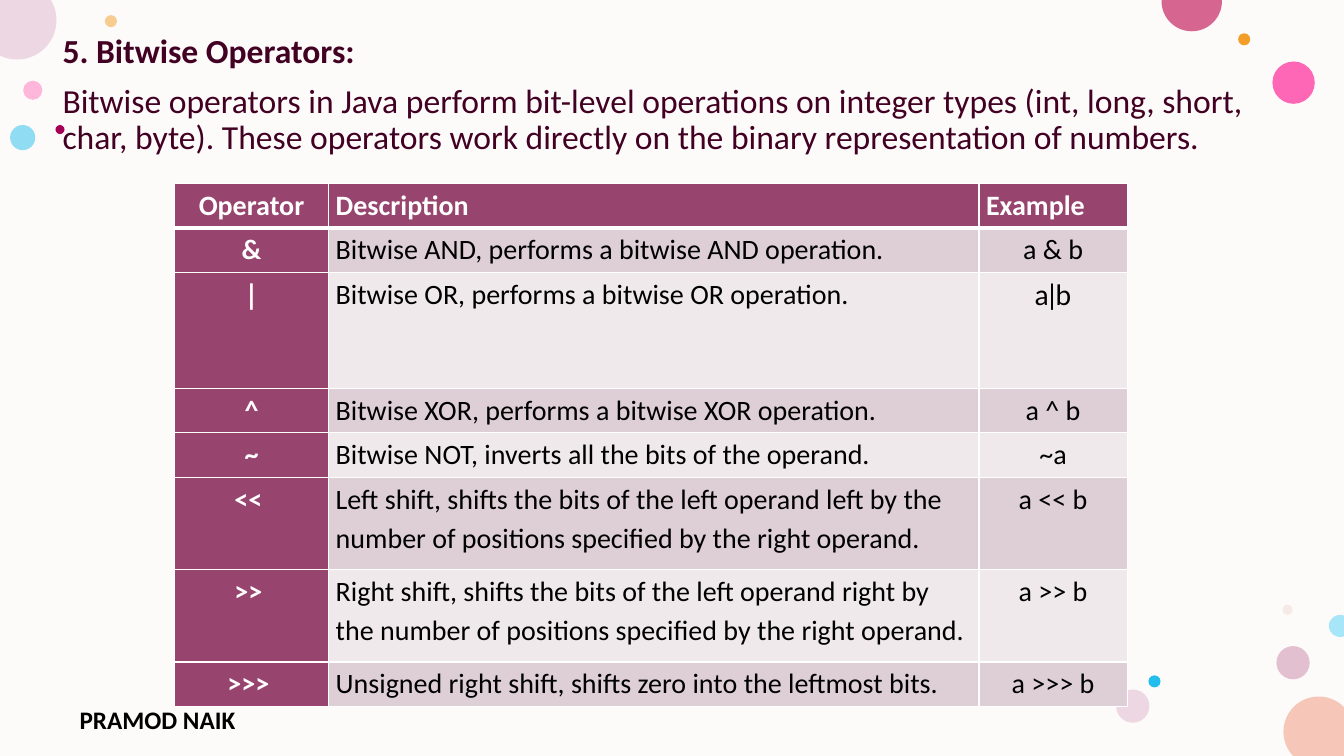
from dataclasses import dataclass
from math import cos, radians, sin, tan

from pptx import Presentation, util as u
from pptx.dml.color import RGBColor
from pptx.enum import shapes, text
from pptx.oxml.ns import qn
from lxml import etree

WIDTH, HEIGHT = 13.33, 7.5
COLORS = {
    "background": "FDFBF9", "ink": "420023", "black": "000000", "white": "FFFFFF",
    "plum": "97446E", "band_dark": "DDCFD5", "band_light": "EFE9EB",
    "pink": "FF75BD", "hot_pink": "FF2F9C", "orange": "F39E29", "mauve": "C987A8",
    "blue": "24BEEE", "pale_blue": "A7E5F8", "rose": "E3BEBE", "lilac": "EDD7E2",
    "peach": "F6C7B9", "raspberry": "D6658F", "crimson": "A40056",
}


@dataclass
class Bubble:
    left: float
    top: float
    size: float
    color: str
    opacity: int = 100


@dataclass
class EdgeBubble:
    """A circle cut by the slide edge: an arc in degrees, closed through a corner."""
    center_x: float
    center_y: float
    radius: float
    start: float
    end: float
    color: str
    corner: tuple[float, ...] = ()


@dataclass
class Operator:
    symbol: str
    description: str
    example: str
    height: float = 0.44
    font: str = "Calibri"


BUBBLES = [
    Bubble(0.23, 0.8, 0.19, "pink", 50),
    Bubble(1.04, 0.15, 0.12, "orange", 50),
    Bubble(12.66, 6.41, 0.33, "mauve", 50),
    Bubble(0.1, 1.24, 0.25, "blue", 50),
    Bubble(12.62, 0.61, 0.42, "hot_pink", 72),
    Bubble(12.28, 0.33, 0.12, "orange"),
    Bubble(12.72, 6, 0.1, "rose", 28),
    Bubble(11.39, 6.7, 0.12, "blue"),
    Bubble(11.07, 6.84, 0.33, "lilac"),
    Bubble(10.86, 6.79, 0.12, "peach"),
    Bubble(0.55, 1.24, 0.09, "crimson"),
]
EDGE_BUBBLES = [
    EdgeBubble(13.08, 7.26, 0.35, 137, 316, "peach", (WIDTH, HEIGHT)),
    EdgeBubble(0.17, 0.2, 0.39, -31, 116, "lilac", (0, 0)),
    EdgeBubble(11.82, 0.01, 0.3, -2, 182, "raspberry"),
    EdgeBubble(13.29, 6.21, 0.11, 70, 290, "pale_blue"),
]
HEADING = "5. Bitwise Operators:"
INTRODUCTION = (
    "Bitwise operators in Java perform bit-level operations on integer types "
    "(int, long, short, char, byte). These operators work directly on the binary "
    "representation of numbers."
)
OPERATORS = [
    Operator("Operator", "Description", "Example"),
    Operator("&", "Bitwise AND, performs a bitwise AND operation.", "a & b"),
    Operator("|", "Bitwise OR, performs a bitwise OR operation.", "a|b", 1.14, "Lato"),
    Operator("^", "Bitwise XOR, performs a bitwise XOR operation.", "a ^ b"),
    Operator("~", "Bitwise NOT, inverts all the bits of the operand.", "~a"),
    Operator("<< ", "Left shift, shifts the bits of the left operand left by the "
             "number of positions specified by the right operand.", "a << b", 0.91),
    Operator(">> ", "Right shift, shifts the bits of the left operand right by the "
             "number of positions specified by the right operand.", "a >> b", 0.91),
    Operator(">>> ", "Unsigned right shift, shifts zero into the leftmost bits.", "a >>> b"),
]
COLUMN_WIDTHS = [1.53, 6.45, 1.47]
TABLE_HEIGHT = 5.19


def rgb(name: str) -> RGBColor:
    return RGBColor.from_string(COLORS[name])


def add_run(paragraph, words: str, size: float, color: str, bold: bool = False,
            font: str = "Calibri") -> None:
    run = paragraph.add_run()
    run.text = words
    run.font.size = u.Pt(size)
    run.font.name = font
    run.font.bold = bold
    run.font.color.rgb = rgb(color)


def paint(shape, color: str, opacity: int = 100) -> None:
    shape.shadow.inherit = False
    shape.line.fill.background()
    shape.fill.solid()
    shape.fill.fore_color.rgb = rgb(color)
    if opacity < 100:
        solid = shape.element.spPr.find(qn("a:solidFill"))
        etree.SubElement(solid[0], qn("a:alpha"), val=str(opacity * 1000))


def draw_backdrop(slide) -> None:
    backdrop = slide.shapes.add_shape(shapes.MSO_SHAPE.RECTANGLE, 0, 0,
                                      u.Inches(WIDTH), u.Inches(HEIGHT))
    paint(backdrop, "background")


def draw_bubble(slide, bubble: Bubble) -> None:
    size = u.Inches(bubble.size)
    shape = slide.shapes.add_shape(shapes.MSO_SHAPE.OVAL, u.Inches(bubble.left),
                                   u.Inches(bubble.top), size, size)
    paint(shape, bubble.color, bubble.opacity)


def draw_edge_bubble(slide, bubble: EdgeBubble) -> None:
    """Draw the arc as two Bezier curves."""
    half = radians(bubble.end - bubble.start) / 2
    handle = 4 / 3 * tan(half / 4)

    def point(angle: float, pull: float = 0) -> tuple[int, int]:
        x = bubble.center_x + bubble.radius * (cos(angle) - pull * sin(angle))
        y = bubble.center_y + bubble.radius * (sin(angle) + pull * cos(angle))
        return u.Inches(x), u.Inches(y)

    first = radians(bubble.start)
    points = []
    for angle in (first, first + half):
        points += [point(angle, handle), point(angle + half, -handle), point(angle + half)]
    if bubble.corner:
        points.append(tuple(u.Inches(length) for length in bubble.corner))
    builder = slide.shapes.build_freeform(*point(first))
    builder.add_line_segments(points, close=True)
    shape = builder.convert_to_shape()

    # Join each three line points into one curve
    lines = list(shape.element.iter(qn("a:lnTo")))
    for index in (0, 3):
        curve = etree.Element(qn("a:cubicBezTo"))
        lines[index].addprevious(curve)
        for line in lines[index:index + 3]:
            curve.append(line[0])
            line.getparent().remove(line)
    paint(shape, bubble.color)


def draw_footer(slide) -> None:
    box = slide.shapes.add_textbox(u.Inches(0.69), u.Inches(6.94), u.Inches(2.45), u.Inches(0.32))
    box.text_frame.word_wrap = True
    add_run(box.text_frame.paragraphs[0], "PRAMOD NAIK", 18, "black", bold=True)


def fill_body(body) -> None:
    body.left, body.top = u.Inches(0.52), u.Inches(0.29)
    body.width, body.height = u.Inches(12.26), u.Inches(6.72)
    frame = body.text_frame
    frame.auto_size = text.MSO_AUTO_SIZE.NONE
    frame.vertical_anchor = text.MSO_ANCHOR.TOP
    for index, words in enumerate([HEADING, INTRODUCTION]):
        paragraph = frame.add_paragraph() if index else frame.paragraphs[0]
        paragraph.line_spacing = 0.9
        paragraph.space_before = u.Pt(10)
        add_run(paragraph, words, 24, "ink", bold=index == 0)
        properties = paragraph._p.get_or_add_pPr()
        properties.set("marL", "0")
        properties.set("indent", "0")
        etree.SubElement(properties, qn("a:buNone"))


def set_borders(cell, bottom: float) -> None:
    properties = cell._tc.get_or_add_tcPr()
    for index, (side, width) in enumerate([("lnL", 1), ("lnR", 1), ("lnT", 1), ("lnB", bottom)]):
        line = etree.Element(qn(f"a:{side}"), w=str(u.Pt(width)))
        solid = etree.SubElement(line, qn("a:solidFill"))
        etree.SubElement(solid, qn("a:srgbClr"), val=COLORS["white"])
        properties.insert(index, line)


def draw_table(slide) -> None:
    scale = TABLE_HEIGHT / sum(operator.height for operator in OPERATORS)
    table = slide.shapes.add_table(len(OPERATORS), len(COLUMN_WIDTHS), u.Inches(1.73), u.Inches(1.82),
                                   u.Inches(sum(COLUMN_WIDTHS)), u.Inches(TABLE_HEIGHT)).table
    for column, width in zip(table.columns, COLUMN_WIDTHS):
        column.width = u.Inches(width)
    for row, operator in enumerate(OPERATORS):
        table.rows[row].height = u.Inches(operator.height * scale)
        band = "band_dark" if row % 2 else "band_light"
        for column, words in enumerate([operator.symbol, operator.description, operator.example]):
            cell = table.cell(row, column)
            strong = row == 0 or column == 0
            cell.margin_left = cell.margin_right = u.Inches(0.07)
            cell.margin_top = cell.margin_bottom = 0
            cell.fill.solid()
            cell.fill.fore_color.rgb = rgb("plum" if strong else band)
            set_borders(cell, bottom=1 if row else 3)
            paragraph = cell.text_frame.paragraphs[0]
            paragraph.line_spacing = 1.15
            paragraph.space_after = u.Pt(8)
            centered = column == 0 or (column == 2 and row > 0)
            paragraph.alignment = text.PP_ALIGN.CENTER if centered else text.PP_ALIGN.LEFT
            add_run(paragraph, words, 20, "white" if strong else "black", strong,
                    "Calibri" if column == 1 else operator.font)


def main() -> None:
    presentation = Presentation()
    presentation.slide_width, presentation.slide_height = u.Inches(WIDTH), u.Inches(HEIGHT)
    slide = presentation.slides.add_slide(presentation.slide_layouts[1])

    # Backdrop and decorative bubbles
    draw_backdrop(slide)
    for bubble in BUBBLES:
        draw_bubble(slide, bubble)
    for edge_bubble in EDGE_BUBBLES:
        draw_edge_bubble(slide, edge_bubble)
    draw_footer(slide)

    # Heading and introduction, in front of the bubbles
    title, body = slide.shapes.title, slide.placeholders[1]
    tree = body.element.getparent()
    tree.remove(title.element)
    tree.append(body.element)
    fill_body(body)

    # Operator table
    draw_table(slide)
    presentation.save("out.pptx")


if __name__ == "__main__":
    main()
